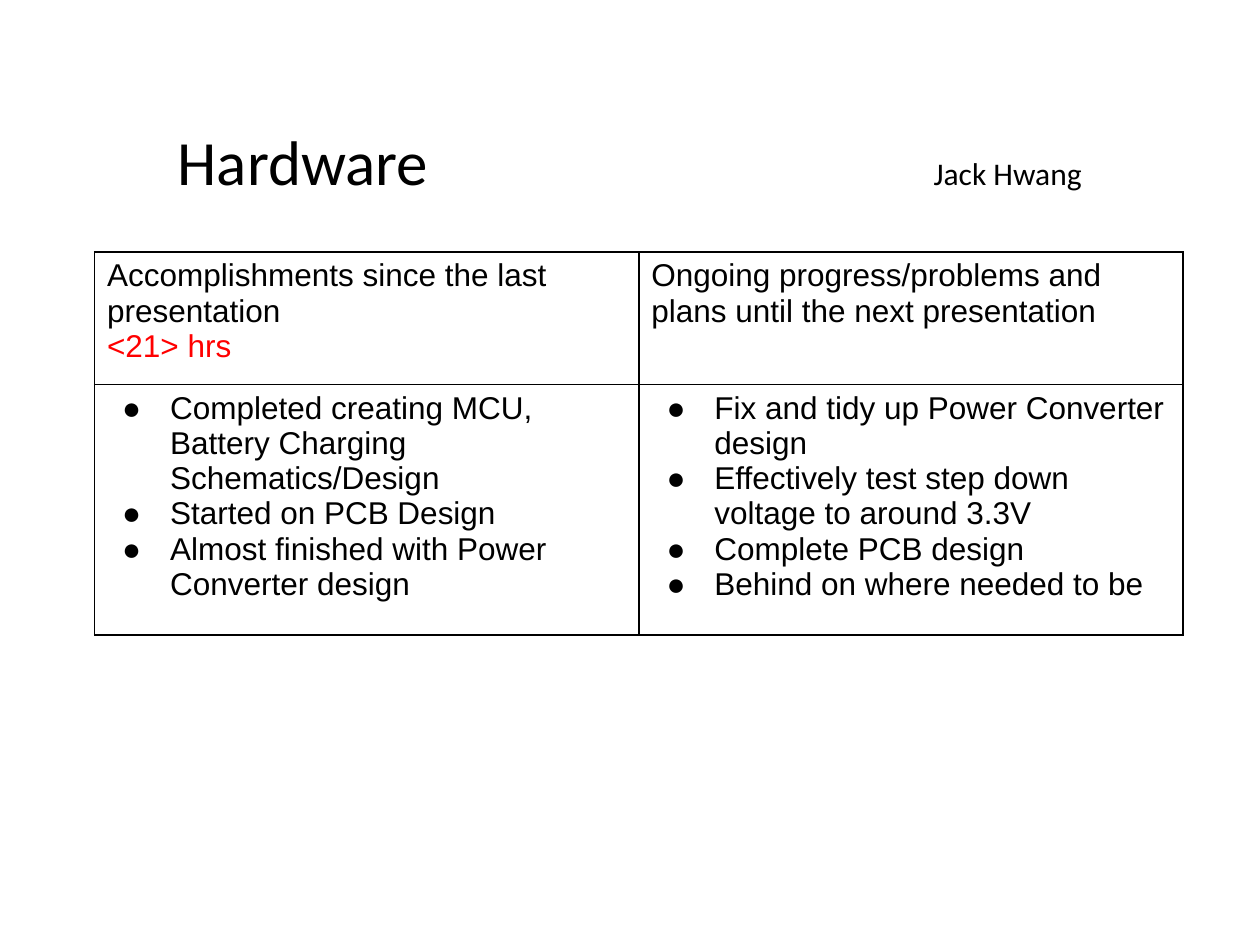
from pptx import Presentation, util as u
from pptx.dml.color import RGBColor
from pptx.enum import text as t
from pptx.oxml import parse_xml
from pptx.oxml.ns import nsdecls

THEME = {
    "ink": "000000", "alert": "FF0000",
    "head": "Calibri", "body": "Arial",
    "big": 36, "mid": 18, "tab": 16, "rule": 1,
}
TITLE, OWNER = "Hardware", "Jack Hwang"
HEADS = [
    ("Accomplishments since the last presentation", "<21> hrs"),
    ("Ongoing progress/problems and plans until the next presentation", None),
]
LISTS = [
    [
        "Completed creating MCU, Battery Charging Schematics/Design",
        "Started on PCB Design",
        "Almost finished with Power Converter design",
    ],
    [
        "Fix and tidy up Power Converter design",
        "Effectively test step down voltage to around 3.3V",
        "Complete PCB design",
        "Behind on where needed to be",
    ],
]
LEFT, TOP, COL, ROWS = 0.75, 2, 4.32, (1.05, 1.99)


def add_xml(node, tag, attrs="", inner=""):
    node.append(parse_xml(f"<a:{tag} {nsdecls('a')} {attrs}>{inner}</a:{tag}>"))


def put(para, words, font=THEME["body"], size=THEME["mid"], color=THEME["ink"]):
    run = para.add_run()
    run.text = words
    run.font.name = font
    run.font.size = u.Pt(size)
    run.font.color.rgb = RGBColor.from_string(color)


def add_title(slide):
    """Title at the left and owner at a tab stop, on one line."""
    box = slide.shapes.add_textbox(*map(u.Inches, (0.42, 0.92, 9.17, 0.71)))
    frame = box.text_frame
    frame.word_wrap = True
    frame.auto_size = t.MSO_AUTO_SIZE.SHAPE_TO_FIT_TEXT
    frame.margin_left = u.Inches(0.99)
    para = frame.paragraphs[0]
    stop = f'<a:tab pos="{u.Inches(6)}" algn="l"/>'
    add_xml(para._p.get_or_add_pPr(), "tabLst", inner=stop)
    put(para, TITLE, font=THEME["head"], size=THEME["big"])
    put(para, "\t", font=THEME["head"], size=THEME["tab"])
    put(para, OWNER, font=THEME["head"])


def style(cell):
    """Clear fill and a thin rule on all four sides."""
    props = cell._tc.get_or_add_tcPr()
    paint = f'<a:solidFill><a:srgbClr val="{THEME["ink"]}"/></a:solidFill>'
    for side in "LRTB":
        add_xml(props, f"ln{side}", f'w="{u.Pt(THEME["rule"])}"', paint)
    cell.fill.background()


def fill_list(frame, items):
    for i, item in enumerate(items):
        para = frame.add_paragraph() if i else frame.paragraphs[0]
        props = para._p.get_or_add_pPr()
        props.set("marL", str(u.Inches(0.5)))
        props.set("indent", str(u.Inches(-0.38)))
        add_xml(props, "buClr", inner=f'<a:srgbClr val="{THEME["ink"]}"/>')
        add_xml(props, "buFont", f'typeface="{THEME["body"]}"')
        add_xml(props, "buChar", 'char="●"')
        put(para, item)


def add_grid(slide):
    size = (LEFT, TOP, COL * len(HEADS), sum(ROWS))
    grid = slide.shapes.add_table(len(ROWS), len(HEADS), *map(u.Inches, size)).table
    grid.first_row = grid.horz_banding = False
    for row, high in zip(grid.rows, ROWS):
        row.height = u.Inches(high)
    for col, ((head, hours), items) in enumerate(zip(HEADS, LISTS)):
        grid.columns[col].width = u.Inches(COL)
        top, low = grid.cell(0, col), grid.cell(1, col)
        style(top)
        style(low)
        para = top.text_frame.paragraphs[0]
        put(para, head)
        if hours:
            para.add_line_break()
            put(para, hours, color=THEME["alert"])
        fill_list(low.text_frame, items)


def main():
    deck = Presentation()
    deck.slide_width, deck.slide_height = u.Inches(10), u.Inches(7.5)
    slide = deck.slides.add_slide(deck.slide_layouts[6])
    add_title(slide)
    add_grid(slide)
    deck.save("out.pptx")


if __name__ == "__main__":
    main()
